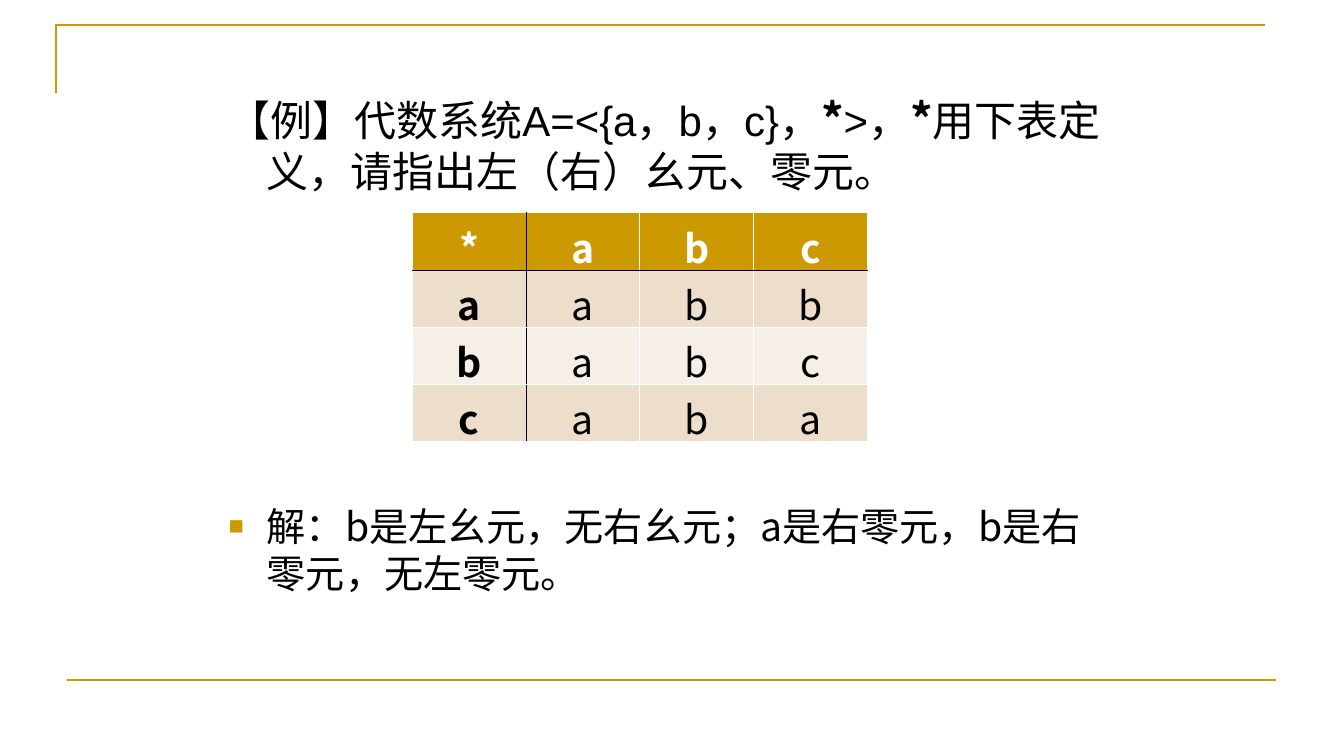
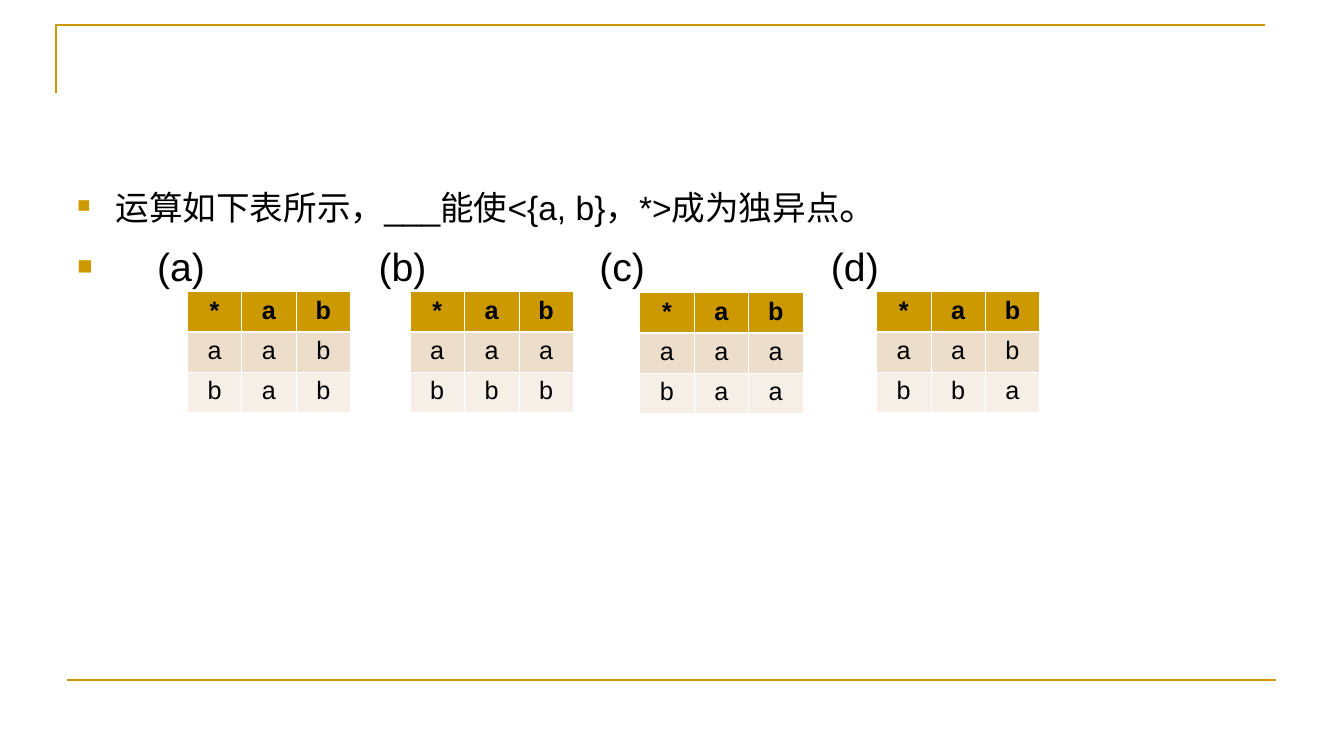
"""Two slides on identity, zero and singular elements in operation tables."""
from lxml.etree import SubElement
from pptx import Presentation
from pptx.dml.color import RGBColor
from pptx.enum.shapes import MSO_CONNECTOR
from pptx.enum.text import PP_ALIGN
from pptx.oxml import parse_xml
from pptx.oxml.ns import nsdecls, qn
from pptx.util import Inches, Pt

COLORS = {"gold": "CC9900", "sand": "ECDECB", "cream": "F6EFE7",
          "black": "000000", "white": "FFFFFF"}
LATIN, CJK = "Arial", "Noto Sans CJK SC"
HANG = 0.38
HAIRLINE, HEADER_RULE = 0.45, 1.47

EXAMPLE = [
    ("【例】代数系统A=<{a，b，c}，", 30, LATIN, False),
    ("*", 32, CJK, True),
    (">，", 30, LATIN, False),
    ("*", 32, CJK, True),
    ("用下表定义，请指出左（右）幺元、零元。", 30, LATIN, False),
]
SOLUTION = [("解：b是左幺元，无右幺元；a是右零元，b是右零元，无左零元。", 28, CJK, False)]
EXAMPLE_TABLE = ["*abc", "aabb", "babc", "caba"]

QUESTION = [
    ("运算如下表所示，", 24, LATIN, False),
    ("___", 24, LATIN, False),
    ("能使<{a, b}，*>成为独异点", 24, LATIN, False),
    ("。", 28, LATIN, False),
]
CHOICES = [
    ("(a)", 1.56, 1.86, 2.89, ["*ab", "aab", "bab"]),
    ("(b)", 3.76, 4.07, 2.89, ["*ab", "aaa", "bbb"]),
    ("(c)", 5.95, 6.35, 2.90, ["*ab", "aaa", "baa"]),
    ("(d)", 8.25, 8.70, 2.89, ["*ab", "aab", "bba"]),
]


def rgb(name):
    return RGBColor.from_string(COLORS[name])


def add_run(paragraph, text, size, face, bold, color="black"):
    run = paragraph.add_run()
    run.text = text
    run.font.size = Pt(size)
    run.font.name = face
    run.font.bold = bold
    run.font.color.rgb = rgb(color)
    SubElement(run.font._element, qn("a:ea")).set("typeface", CJK)


def add_text(slide, left, top, width, height, runs, hang=0, bullet=False):
    frame = slide.shapes.add_textbox(
        Inches(left), Inches(top), Inches(width), Inches(height)).text_frame
    frame.word_wrap = True
    paragraph = frame.paragraphs[0]
    layout = paragraph._p.get_or_add_pPr()
    layout.set("marL", str(Inches(hang)))
    layout.set("indent", str(-Inches(hang)))
    if bullet:
        bullet_color = SubElement(layout, qn("a:buClr"))
        SubElement(bullet_color, qn("a:srgbClr")).set("val", COLORS["gold"])
        SubElement(layout, qn("a:buSzPct")).set("val", "65000")
        SubElement(layout, qn("a:buFont")).set("typeface", LATIN)
        SubElement(layout, qn("a:buChar")).set("char", "■")
    for run in runs:
        add_run(paragraph, *run)


def set_borders(cell, borders):
    properties = cell._tc.get_or_add_tcPr()
    for index, (side, (color, width)) in enumerate(borders.items()):
        properties.insert(index, parse_xml(
            f'<a:ln{side} {nsdecls("a")} w="{Pt(width)}"><a:solidFill>'
            f'<a:srgbClr val="{COLORS[color]}"/></a:solidFill></a:ln{side}>'))


def add_operation_table(slide, left, top, rows, col_width, row_height, size, face,
                        header_color, header_rule, column_rule, inset, bold_column):
    count = len(rows)
    table = slide.shapes.add_table(
        count, count, Inches(left), Inches(top),
        Inches(col_width * count), Inches(row_height * count)).table
    plain = ("white", HAIRLINE)
    for r, symbols in enumerate(rows):
        table.rows[r].height = Inches(row_height)
        for c, symbol in enumerate(symbols):
            table.columns[c].width = Inches(col_width)
            cell = table.cell(r, c)
            cell.margin_left = cell.margin_right = Inches(inset)
            cell.fill.solid()
            cell.fill.fore_color.rgb = rgb(
                "gold" if r == 0 else "sand" if r % 2 else "cream")
            set_borders(cell, {
                "L": column_rule if c == 1 else plain,
                "R": column_rule if c == 0 else plain,
                "T": header_rule if r == 1 else plain,
                "B": header_rule if r == 0 else plain,
            })
            paragraph = cell.text_frame.paragraphs[0]
            paragraph.alignment = PP_ALIGN.CENTER
            add_run(paragraph, symbol, size, face,
                    r == 0 or (bold_column and c == 0),
                    header_color if r == 0 else "black")


def add_framed_slide(deck):
    slide = deck.slides.add_slide(deck.slide_layouts[6])
    outline = slide.shapes.build_freeform(Inches(0.56), Inches(0.92))
    outline.add_line_segments(
        [(Inches(0.56), Inches(0.25)), (Inches(12.56), Inches(0.25))], close=False)
    corner = outline.convert_to_shape()
    corner.fill.background()
    corner.shadow.inherit = False
    footer_rule = slide.shapes.add_connector(
        MSO_CONNECTOR.STRAIGHT, Inches(0.67), Inches(6.75), Inches(12.67), Inches(6.75))
    SubElement(footer_rule._element.spPr, qn("a:effectLst"))
    for part in (corner, footer_rule):
        part.line.color.rgb = rgb("gold")
        part.line.width = Pt(1.5)
    return slide


def build_example(deck):
    slide = add_framed_slide(deck)
    add_text(slide, 2.17, 0.86, 9, 1.2, EXAMPLE, HANG)
    rule = ("black", HAIRLINE)
    add_operation_table(slide, 4.09, 2.11, EXAMPLE_TABLE, 1.13, 0.53, 28, CJK,
                        "white", rule, rule, 0.08, True)
    add_text(slide, 2.17, 4.93, 9, 1.2, SOLUTION, HANG, bullet=True)


def build_question(deck):
    slide = add_framed_slide(deck)
    body_left, text_inset = 0.67, 0.1
    add_text(slide, body_left, 1.75, 12, 0.6, QUESTION, HANG, bullet=True)
    for index, (label, label_left, table_left, top, rows) in enumerate(CHOICES):
        first = index == 0
        box_left = body_left if first else label_left - text_inset
        hang = label_left - text_inset - box_left
        add_text(slide, box_left, 2.35, hang + 0.9, 0.53,
                 [(label, 28, LATIN, False)], hang, bullet=first)
        add_operation_table(slide, table_left, top, rows, 0.54, 0.4, 18, LATIN,
                            "black", ("white", HEADER_RULE), ("white", HAIRLINE),
                            0.1, False)


def main():
    deck = Presentation()
    deck.slide_width, deck.slide_height = Inches(13.34), Inches(7.5)
    build_example(deck)
    build_question(deck)
    deck.save("out.pptx")


if __name__ == "__main__":
    main()
